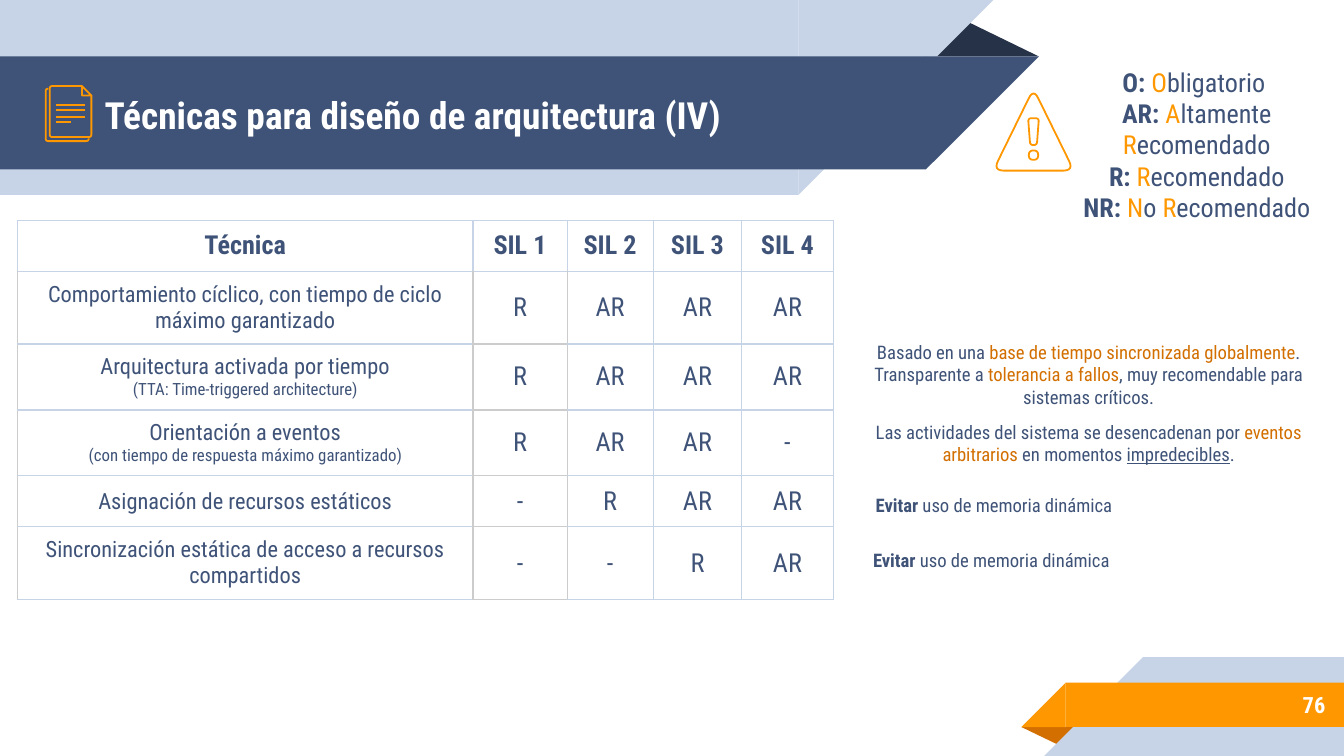
from dataclasses import dataclass

from lxml.etree import SubElement
from pptx import Presentation
from pptx.dml.color import RGBColor
from pptx.enum.shapes import MSO_CONNECTOR, MSO_SHAPE
from pptx.enum.text import MSO_ANCHOR, PP_ALIGN
from pptx.oxml import parse_xml
from pptx.oxml.ns import nsdecls, qn
from pptx.util import Inches, Pt

COLUMNS, ROWS = 100, 56.25
UNIT = Inches(10) / COLUMNS
FONT = "Roboto Condensed"
COLORS = {
    "navy": "3F5378", "shade": "263248", "mist": "C7D3E6", "grey": "CCCCCC",
    "orange": "FF9800", "rust": "D26F00", "white": "FFFFFF",
}
TECHNIQUES = [
    (["Comportamiento cíclico, con tiempo de ciclo máximo garantizado"], ["R", "AR", "AR", "AR"], 5.4),
    (["Arquitectura activada por tiempo", "(TTA: Time-triggered architecture)"],
     ["R", "AR", "AR", "AR"], 4.9),
    (["Orientación a eventos", "(con tiempo de respuesta máximo garantizado)"],
     ["R", "AR", "AR", "-"], 4.9),
    (["Asignación de recursos estáticos"], ["-", "R", "AR", "AR"], 3.8),
    (["Sincronización estática de acceso a recursos compartidos"], ["-", "-", "R", "AR"], 5.4),
]
LEGEND = [
    [("O: ", "bold"), ("O", "orange"), ("bligatorio ", "")],
    [("AR: ", "bold"), ("A", "orange"), ("ltamente ", ""), ("R", "orange"), ("ecomendado", "")],
    [("R: ", "bold"), ("R", "orange"), ("ecomendado", "")],
    [("NR: ", "bold"), ("N", "orange"), ("o ", ""), ("R", "orange"), ("ecomendado", "")],
]
AVOID = [("Evitar", "bold"), (" uso de memoria dinámica", "")]
TIME_BASE = [
    ("Basado en una ", ""), ("base de tiempo sincronizada globalmente", "rust"),
    (". Transparente a ", ""), ("tolerancia a fallos", "rust"),
    (", muy recomendable para sistemas críticos.", ""),
]
EVENTS = [
    ("Las actividades del sistema se desencadenan por ", ""), ("eventos arbitrarios", "rust"),
    (" en momentos ", ""), ("impredecibles", "underline"), (".", ""),
]


def color(name):
    return RGBColor.from_string(COLORS[name])


@dataclass
class Box:
    left: float
    top: float
    width: float
    height: float

    def cell(self, left, top, width, height):
        return Box(self.left + left, self.top + top, width, height)

    def point(self, x, y):
        return round((self.left + x) * UNIT), round((self.top + y) * UNIT)

    def emu(self):
        return [round(value * UNIT) for value in (self.left, self.top, self.width, self.height)]


def add_runs(paragraph, runs, size, base="navy", align=PP_ALIGN.CENTER):
    paragraph.alignment = align
    for text, style in runs:
        run = paragraph.add_run()
        run.text = text
        run.font.name, run.font.size = FONT, Pt(size)
        run.font.bold = style == "bold"
        run.font.underline = style == "underline"
        run.font.color.rgb = color(style if style in COLORS else base)


def add_text(slide, box, lines, size, base="navy", align=PP_ALIGN.CENTER):
    text_frame = slide.shapes.add_textbox(*box.emu()).text_frame
    text_frame.word_wrap = True
    text_frame.vertical_anchor = MSO_ANCHOR.MIDDLE
    text_frame.margin_left = text_frame.margin_right = Inches(0.1)
    text_frame.margin_top = text_frame.margin_bottom = Inches(0.1)
    for index, runs in enumerate(lines):
        paragraph = text_frame.add_paragraph() if index else text_frame.paragraphs[0]
        add_runs(paragraph, runs, size, base, align)


def add_solid(slide, preset, box, fill, turned=False, mirrored=False):
    shape = slide.shapes.add_shape(preset, *box.emu())
    shape.shadow.inherit = False
    shape.fill.solid()
    shape.fill.fore_color.rgb = color(fill)
    shape.line.fill.background()
    if turned:
        shape.rotation = 180
    if mirrored:
        shape._element.spPr.find(qn("a:xfrm")).set("flipH", "1")
    return shape


def add_fold(slide, box, fill, turned=False):
    shape = add_solid(slide, MSO_SHAPE.ISOSCELES_TRIANGLE, box, fill, turned)
    shape.adjustments[0] = 0.324


def add_band(slide, box, fill, turned):
    slope = box.height
    straight = box.width - slope
    body, tip = (0, straight) if turned else (slope, 0)
    add_solid(slide, MSO_SHAPE.RECTANGLE, box.cell(body, 0, straight, slope), fill, turned, True)
    add_solid(slide, MSO_SHAPE.RIGHT_TRIANGLE, box.cell(tip, 0, slope, slope), fill, turned, True)


def rounded(points, radius, closed=True):
    path = []
    for index, (x, y) in enumerate(points):
        if not closed and index in (0, len(points) - 1):
            path.append((x, y))
            continue
        ends = []
        for near_x, near_y in (points[index - 1], points[(index + 1) % len(points)]):
            share = radius / ((near_x - x) ** 2 + (near_y - y) ** 2) ** 0.5
            ends.append((x + (near_x - x) * share, y + (near_y - y) * share))
        (start_x, start_y), (end_x, end_y) = ends
        for step in range(7):
            t = step / 6
            a, b, c = (1 - t) ** 2, 2 * t * (1 - t), t ** 2
            path.append((a * start_x + b * x + c * end_x, a * start_y + b * y + c * end_y))
    return path


def add_outline(slide, box, paths, closed=True):
    builder = None
    for path in paths:
        start, *rest = [box.point(*point) for point in path]
        if builder is None:
            builder = slide.shapes.build_freeform(*start)
        else:
            builder.move_to(*start)
        builder.add_line_segments(rest, close=closed)
    shape = builder.convert_to_shape()
    shape.shadow.inherit = False
    shape.fill.background()
    shape.line.color.rgb, shape.line.width = color("orange"), Pt(0.96)


def add_document_icon(slide, box):
    back = [(0.2, 0.2), (0, 0.2), (0, 4.1), (3.2, 4.1), (3.2, 3.9)]
    front = [(2.7, 0), (0.3, 0), (0.3, 3.8), (3.4, 3.8), (3.4, 0.7)]
    for page in (back, front):
        add_outline(slide, box, [rounded(page, 0.2, closed=False)], closed=False)
    add_outline(slide, box, [[(2.7, 0), (2.7, 0.7), (3.4, 0.7)]])
    for y, end in ((1.4, 2.9), (1.8, 2.9), (2.3, 2.9), (2.7, 1.9)):
        line = slide.shapes.add_connector(MSO_CONNECTOR.STRAIGHT, *box.point(0.8, y), *box.point(end, y))
        line.line.color.rgb, line.line.width = color("orange"), Pt(0.96)
        SubElement(line._element.spPr, qn("a:effectLst"))


def add_warning_icon(slide, box):
    sign = rounded([(2.8, -0.4), (5.8, 5.7), (-0.2, 5.7)], 0.8)
    stroke = rounded([(2.4, 1.8), (3.2, 1.8), (3.05, 3.8), (2.55, 3.8)], 0.25)
    dot = rounded([(2.45, 4.2), (3.15, 4.2), (3.15, 4.9), (2.45, 4.9)], 0.35)
    add_outline(slide, box, [sign, stroke, dot])


def add_header(slide, box):
    add_fold(slide, box.cell(68.8, 1.4, 8.5, 2.8), "shade")
    add_band(slide, box.cell(0, 0, 73.9, 14.5), "mist", True)
    add_band(slide, box.cell(0, 4.2, 77.3, 8.4), "navy", True)
    title = [("Técnicas para diseño de arquitectura (IV)", "bold")]
    add_text(slide, box.cell(6.8, 4.3, 64.3, 8.4), [title], 20, "white", PP_ALIGN.LEFT)
    add_document_icon(slide, box.cell(3.4, 6.4, 3.4, 4.1))


def add_footer(slide, box):
    add_fold(slide, box.cell(0, 5.2, 4.3, 1.4), "rust", True)
    add_band(slide, box.cell(1.7, 0, box.width - 1.7, box.height), "mist", False)
    add_band(slide, box.cell(0, 1.9, box.width, 3.3), "orange", False)
    add_text(slide, box.cell(7.3, 1.8, 16.3, 3.5), [[("76", "bold")]], 12, "white", PP_ALIGN.RIGHT)


def style_cell(cell, row, column):
    cell.fill.solid()
    cell.fill.fore_color.rgb = color("white")
    cell.vertical_anchor = MSO_ANCHOR.MIDDLE
    cell.margin_left = cell.margin_right = Inches(0.1)
    cell.margin_top = cell.margin_bottom = Inches(0.07)
    grey_sides = {
        "L": row > 0 and column <= 2, "R": row > 0 and column <= 1,
        "T": row > 1 and column == 1, "B": row > 0 and column == 1,
    }
    for index, (side, grey) in enumerate(grey_sides.items()):
        shade = COLORS["grey" if grey else "mist"]
        cell._tc.get_or_add_tcPr().insert(index, parse_xml(
            f'<a:ln{side} {nsdecls("a")} w="{Pt(0.75)}"><a:solidFill>'
            f'<a:srgbClr val="{shade}"/></a:solidFill></a:ln{side}>'))


def add_techniques(slide, box):
    widths = [33.9, 7, 6.4, 6.6, 6.8]
    heights = [3.8] + [height for _, _, height in TECHNIQUES]
    table = slide.shapes.add_table(len(heights), len(widths), *box.emu()).table
    table.first_row = table.horz_banding = False
    for column, width in zip(table.columns, widths):
        column.width = round(width * UNIT)
    for row, height in zip(table.rows, heights):
        row.height = round(height * UNIT)
    header = [["Técnica"]] + [[f"SIL {level}"] for level in range(1, 5)]
    body = [[names] + [[level] for level in levels] for names, levels, _ in TECHNIQUES]
    for row, contents in enumerate([header] + body):
        for column, lines in enumerate(contents):
            cell = table.cell(row, column)
            style_cell(cell, row, column)
            for index, line in enumerate(lines):
                paragraph = cell.text_frame.add_paragraph() if index else cell.text_frame.paragraphs[0]
                size = 9 if index else 12 if row and not column else 14
                add_runs(paragraph, [(line, "" if row else "bold")], size)


def add_notes(slide, box):
    for top, width, height, runs in (
        (0, 38, 4.5, TIME_BASE), (5.1, 38, 4.5, EVENTS),
        (10.2, 23.9, 3.5, AVOID), (13.8, 23.5, 4.5, AVOID),
    ):
        add_text(slide, box.cell(0, top, width, height), [runs], 10)


def add_legend(slide, box):
    add_warning_icon(slide, box.cell(0, 2.7, 5.6, 5.7))
    add_text(slide, box.cell(4, 0, 21.9, 12.9), LEGEND, 14)


def main():
    presentation = Presentation()
    presentation.slide_width = round(COLUMNS * UNIT)
    presentation.slide_height = round(ROWS * UNIT)
    slide = presentation.slides.add_slide(presentation.slide_layouts[6])
    add_header(slide, Box(0, 0, 77.3, 14.5))
    add_footer(slide, Box(76, 48.9, COLUMNS - 76, ROWS - 48.9))
    add_techniques(slide, Box(1.3, 16.4, 60.7, 28.2))
    add_notes(slide, Box(62, 25.6, 38, 18.3))
    add_legend(slide, Box(74.1, 4.3, 25.9, 12.9))
    presentation.save("out.pptx")


if __name__ == "__main__":
    main()
